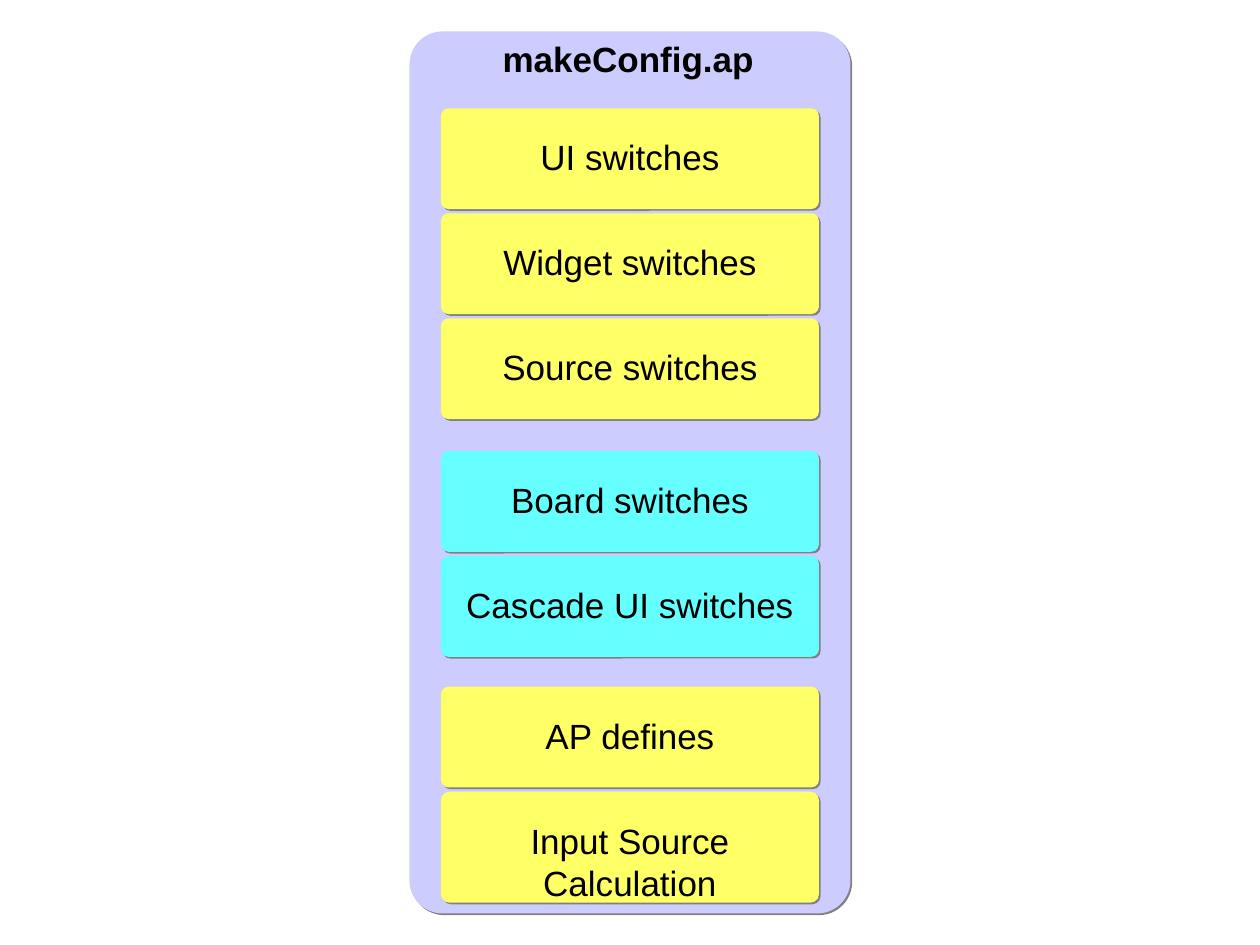
from dataclasses import dataclass

from lxml import etree
from pptx import Presentation
from pptx.dml.color import RGBColor
from pptx.enum import shapes, text
from pptx.oxml import ns
from pptx.util import Inches, Pt

COLOURS = {
    "panel": "CCCCFF",
    "application": "FFFF66",
    "board": "66FFFF",
    "shadow": "808080",
    "text": "000000",
}
FONT = "Arial"
CORNER = 0.075
BLOCK_LEFT, BLOCK_WIDTH, BLOCK_HEIGHT = 3.5, 3, 0.8
PITCH = 2.5 / 3  # three blocks fill 2.5 inches, gaps included


@dataclass
class Group:
    top: float
    colour: str
    labels: list[str]
    last_height: float = BLOCK_HEIGHT


GROUPS = [
    Group(0.86, "application", ["UI switches", "Widget switches", "Source switches"]),
    Group(3.58, "board", ["Board switches", "Cascade UI switches"]),
    Group(5.45, "application", ["AP defines", "Input Source Calculation"], 0.88),
]


def add_shadow(shape) -> None:
    """Give the shape a hard shadow to the lower right."""
    shape.shadow.inherit = False
    effects = shape._element.spPr.find(ns.qn("a:effectLst"))
    shadow = etree.SubElement(effects, ns.qn("a:outerShdw"), blurRad="0",
                              dist=str(Pt(1.4)), dir=str(45 * 60000),
                              algn="ctr", rotWithShape="0")
    etree.SubElement(shadow, ns.qn("a:srgbClr"), val=COLOURS["shadow"])


def add_card(page, left: float, top: float, width: float, height: float, colour: str):
    card = page.shapes.add_shape(shapes.MSO_SHAPE.ROUNDED_RECTANGLE, Inches(left),
                                 Inches(top), Inches(width), Inches(height))
    card.adjustments[0] = CORNER
    card.fill.solid()
    card.fill.fore_color.rgb = RGBColor.from_string(COLOURS[colour])
    card.line.fill.background()
    add_shadow(card)
    return card


def write(shape, label: str, align, top_inset: float, bold: bool = False) -> None:
    frame = shape.text_frame
    frame.text = label
    frame.word_wrap = True
    frame.vertical_anchor = text.MSO_ANCHOR.TOP
    frame.margin_left = frame.margin_right = Inches(0.1)
    frame.margin_top, frame.margin_bottom = Inches(top_inset), Inches(0.05)
    para = frame.paragraphs[0]
    para.alignment = align
    font = para.runs[0].font
    font.name, font.size, font.bold = FONT, Pt(20), bold
    font.color.rgb = RGBColor.from_string(COLOURS["text"])


def add_group(page, group: Group) -> None:
    for index, label in enumerate(group.labels):
        is_last = index == len(group.labels) - 1
        height = group.last_height if is_last else BLOCK_HEIGHT
        block = add_card(page, BLOCK_LEFT, group.top + index * PITCH,
                         BLOCK_WIDTH, height, group.colour)
        write(block, label, text.PP_ALIGN.CENTER, top_inset=0.2)


def main() -> None:
    deck = Presentation()
    deck.slide_width, deck.slide_height = Inches(10), Inches(7.5)
    page = deck.slides.add_slide(deck.slide_layouts[6])

    # Panel and its title, with a little room to spare on the right
    add_card(page, 3.25, 0.25, 3.5, 7, "panel")
    title = page.shapes.add_textbox(Inches(3.89), Inches(0.25), Inches(2.3), Inches(0.44))
    write(title, "makeConfig.ap", text.PP_ALIGN.LEFT, top_inset=0.05, bold=True)

    # Stacked blocks
    for group in GROUPS:
        add_group(page, group)

    deck.save("out.pptx")


if __name__ == "__main__":
    main()
